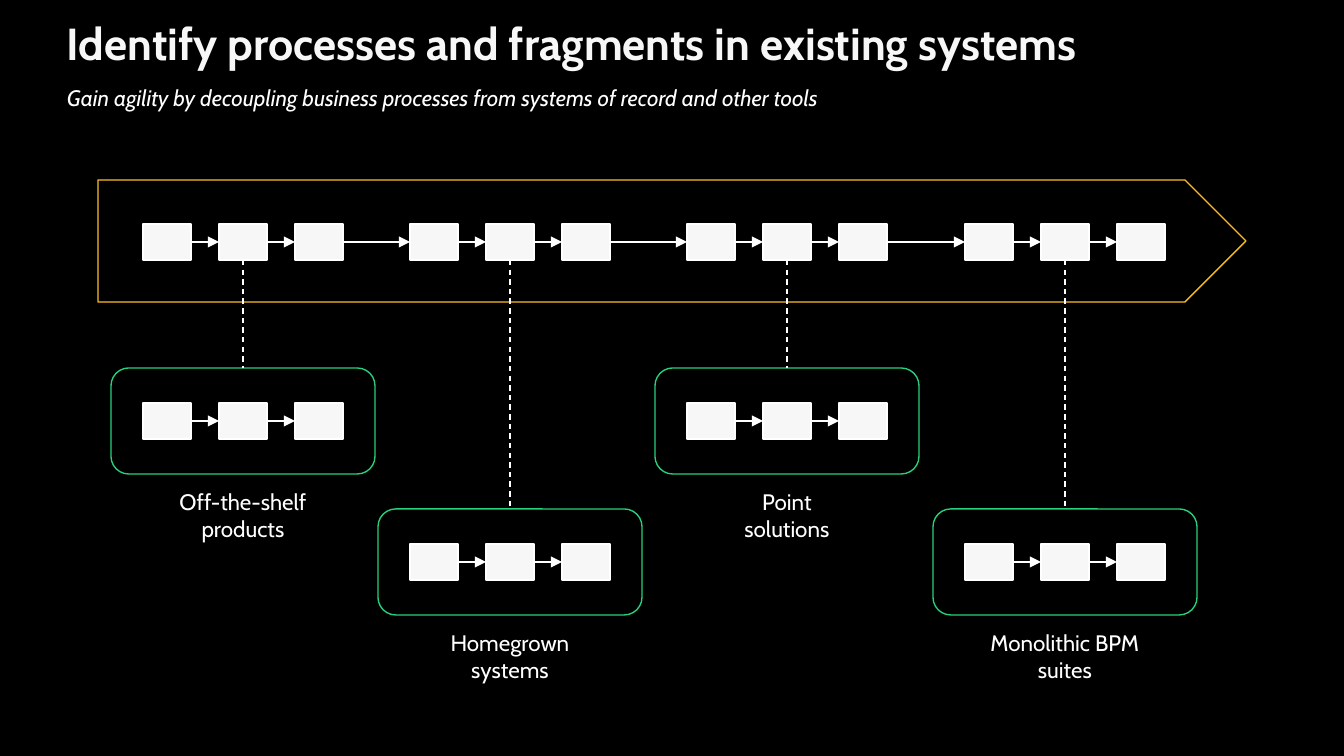
from pptx import Presentation
from pptx.dml.color import RGBColor
from pptx.enum.dml import MSO_LINE as Dash
from pptx.enum.shapes import MSO_CONNECTOR as Connector, MSO_SHAPE as Shape
from pptx.enum.text import MSO_ANCHOR as Anchor, PP_ALIGN as Align
from pptx.oxml.ns import qn
from pptx.util import Pt
from lxml.etree import SubElement

EMU_PER_PX = 914400 / 134.4
TOP, LEFT, BOTTOM, RIGHT = range(4)


def px(length):
    return round(length * EMU_PER_PX)


def color(value):
    return RGBColor.from_string(value)


class ProcessSlide:
    font = "Cabin"
    black, white, pale = "000000", "FFFFFF", "F7F7F7"
    orange, green = "FCBD24", "26D07C"
    line_width = 0.75
    step_width, step_height, step_pitch = 48, 36, 76
    frame_width, frame_height = 264, 106

    def __init__(self, deck):
        self.page = deck.slides.add_slide(deck.slide_layouts[6])
        fill = self.page.background.fill
        fill.solid()
        fill.fore_color.rgb = color(self.black)

    def text(self, content, left, top, width, height, *, size=12, ink=white,
             bold=False, italic=False, align=Align.LEFT, anchor=Anchor.TOP, inset=0):
        box = self.page.shapes.add_textbox(px(left), px(top), px(width), px(height))
        frame = box.text_frame
        frame.word_wrap = True
        frame.vertical_anchor = anchor
        frame.margin_left = frame.margin_right = px(inset)
        frame.margin_top = frame.margin_bottom = px(inset)
        for index, line in enumerate(content.split("\n")):
            para = frame.add_paragraph() if index else frame.paragraphs[0]
            para.alignment = align
            span = para.add_run()
            span.text = line
            span.font.name = self.font
            span.font.size = Pt(size)
            span.font.bold = bold
            span.font.italic = italic
            span.font.color.rgb = color(ink)

    def shape(self, parent, kind, left, top, width, height, outline, fill=None):
        box = parent.shapes.add_shape(kind, px(left), px(top), px(width), px(height))
        box.shadow.inherit = False
        if fill:
            box.fill.solid()
            box.fill.fore_color.rgb = color(fill)
        else:
            box.fill.background()
        box.line.color.rgb = color(outline)
        box.line.width = Pt(self.line_width)
        return box

    def connect(self, parent, start, start_side, end, end_side, dashed=False):
        link = parent.shapes.add_connector(Connector.STRAIGHT, 0, 0, 0, 0)
        link.begin_connect(start, start_side)
        link.end_connect(end, end_side)
        link.line.color.rgb = color(self.white)
        link.line.width = Pt(self.line_width)
        if dashed:
            link.line.dash_style = Dash.DASH
        else:
            SubElement(link.line._get_or_add_ln(), qn("a:tailEnd"), type="triangle")
        SubElement(link._element.spPr, qn("a:effectLst"))

    def arrow(self, parent, start, end):
        self.connect(parent, start, RIGHT, end, LEFT)

    def steps(self, group, center, middle):
        boxes = [
            self.shape(group, Shape.RECTANGLE,
                       center + offset * self.step_pitch - self.step_width // 2,
                       middle - self.step_height // 2,
                       self.step_width, self.step_height, self.white, self.pale)
            for offset in (-1, 0, 1)
        ]
        for start, end in zip(boxes, boxes[1:]):
            self.arrow(group, start, end)
        return boxes

    def fragment(self, center, middle):
        return self.steps(self.page.shapes.add_group_shape(), center, middle)

    def system(self, center, top, label):
        group = self.page.shapes.add_group_shape()
        frame = self.shape(group, Shape.ROUNDED_RECTANGLE, center - self.frame_width // 2,
                           top, self.frame_width, self.frame_height, self.green)
        self.steps(group, center, top + self.frame_height // 2)
        self.text(label, center - 100, top + self.frame_height, 200, 82,
                  align=Align.CENTER, anchor=Anchor.MIDDLE, inset=13)
        return frame


def main():
    deck = Presentation()
    deck.slide_width, deck.slide_height = px(1344), px(756)
    slide = ProcessSlide(deck)

    slide.text("Identify processes and fragments in existing systems",
               67, 16, 1210, 54, size=24, ink=slide.pale, bold=True)
    slide.text("Gain agility by decoupling business processes from systems of record "
               "and other tools", 67, 84, 1184, 42, italic=True)
    slide.shape(slide.page, Shape.PENTAGON, 98, 180, 1148, 122, slide.orange, slide.black)

    upper, lower = 368, 509
    systems = [
        (243, upper, "Off-the-shelf products"),
        (510, lower, "Homegrown systems"),
        (787, upper, "Point\nsolutions"),
        (1065, lower, "Monolithic BPM suites"),
    ]
    fragments = [slide.fragment(center, 242) for center, _, _ in systems]
    for previous, following in zip(fragments, fragments[1:]):
        slide.arrow(slide.page, previous[-1], following[0])
    for boxes, (center, top, label) in zip(fragments, systems):
        frame = slide.system(center, top, label)
        slide.connect(slide.page, boxes[1], BOTTOM, frame, TOP, dashed=True)

    deck.save("out.pptx")


if __name__ == "__main__":
    main()
